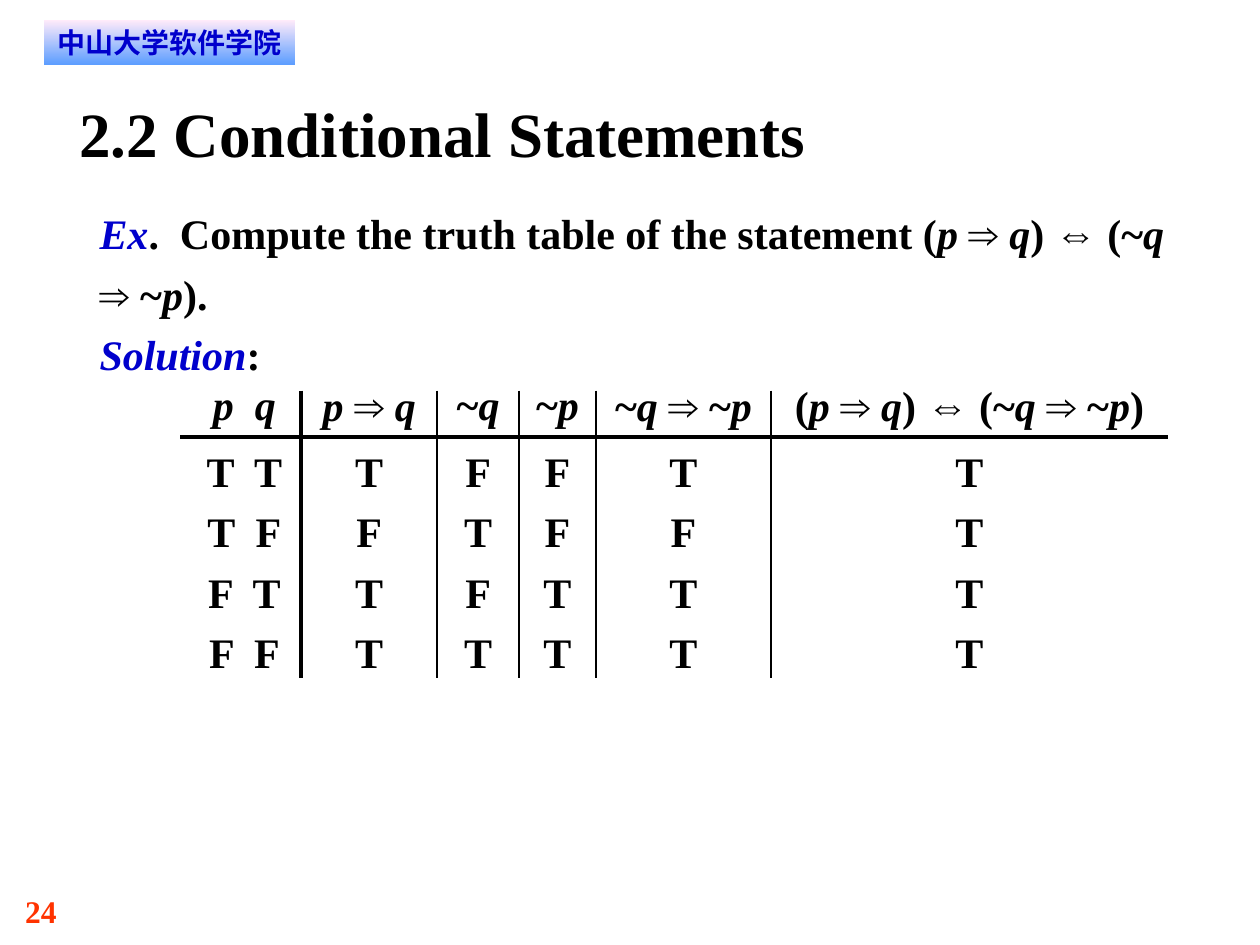
from dataclasses import dataclass
from itertools import accumulate, groupby

from lxml.etree import SubElement
from pptx import Presentation
from pptx.dml.color import RGBColor
from pptx.enum.shapes import MSO_CONNECTOR, MSO_SHAPE
from pptx.enum.text import MSO_ANCHOR, PP_ALIGN
from pptx.oxml.ns import qn
from pptx.util import Inches, Pt


@dataclass(frozen=True)
class Theme:
    """Colours, fonts and type sizes of the slide."""
    ink: str = "000000"
    accent: str = "0000CC"
    number: str = "FF3300"
    banner_top: str = "FFEBFA"
    banner_bottom: str = "5E9EFF"
    serif: str = "Times New Roman"
    symbol: str = "Arial"
    banner_font: str = "DejaVu Sans"
    title_size: int = 36
    body_size: int = 24
    number_size: int = 18
    banner_size: int = 16


THEME = Theme()
STATEMENT = "(p ⇒ q) ⇔ (~q ⇒ ~p)"
HEADINGS = ["p  q", "p ⇒ q", "~q", "~p", "~q ⇒ ~p", STATEMENT]
TRUTH_ROWS = [
    ["T  T", "T", "F", "F", "T", "T"],
    ["T  F", "F", "T", "F", "F", "T"],
    ["F  T", "T", "F", "T", "T", "T"],
    ["F  F", "T", "T", "T", "T", "T"],
]
COLUMN_WIDTHS = [0.96, 1.08, 0.65, 0.61, 1.39, 3.15]
HEADING_HEIGHT, ROW_HEIGHT = 0.48, 0.48
THICK, THIN = 2, 1


def style(paragraph, size, color=THEME.ink, name=THEME.serif):
    """Set the bold font shared by all runs of a paragraph."""
    font = paragraph.font
    font.size, font.bold, font.name = Pt(size), True, name
    font.color.rgb = RGBColor.from_string(color)


def add_formula(paragraph, formula):
    """Add a logic formula with italic variables and arrows in the symbol font."""
    def kind(char):
        return "variable" if char in "pq" else "arrow" if char in "⇒⇔" else "plain"

    for part, chars in groupby(formula, kind):
        run = paragraph.add_run()
        run.text = "".join(chars)
        if part == "variable":
            run.font.italic = True
        elif part == "arrow":
            run.font.name = THEME.symbol


def add_term(paragraph, term):
    """Add an italic lead word in the accent colour."""
    run = paragraph.add_run()
    run.text = term
    run.font.italic = True
    run.font.color.rgb = RGBColor.from_string(THEME.accent)


def add_frame(slide, box):
    """Add a wrapping text box without insets and return its frame."""
    frame = slide.shapes.add_textbox(*map(Inches, box)).text_frame
    frame.word_wrap = True
    frame.margin_left = frame.margin_right = frame.margin_top = frame.margin_bottom = 0
    return frame


def add_label(slide, box, text, size, color=THEME.ink):
    """Place a one-line label."""
    paragraph = add_frame(slide, box).paragraphs[0]
    paragraph.text = text
    style(paragraph, size, color)


def add_banner(slide, box, text):
    """Place the school banner with its vertical gradient."""
    banner = slide.shapes.add_shape(MSO_SHAPE.RECTANGLE, *map(Inches, box))
    banner.shadow.inherit = False
    banner.line.fill.background()
    banner.fill.gradient()
    banner.fill.gradient_angle = 270
    for stop, color in zip(banner.fill.gradient_stops, (THEME.banner_top, THEME.banner_bottom)):
        stop.color.rgb = RGBColor.from_string(color)
    frame = banner.text_frame
    frame.margin_left = frame.margin_right = Inches(0.08)
    frame.margin_top = frame.margin_bottom = Inches(0.04)
    paragraph = frame.paragraphs[0]
    paragraph.text = text
    paragraph.alignment = PP_ALIGN.CENTER
    style(paragraph, THEME.banner_size, THEME.accent, THEME.banner_font)


def add_exercise(slide, box):
    """Place the exercise and the word that opens its solution."""
    frame = add_frame(slide, box)
    question, solution = frame.paragraphs[0], frame.add_paragraph()
    for paragraph in (question, solution):
        paragraph.line_spacing = 1.2
        style(paragraph, THEME.body_size)
    add_term(question, "Ex")
    question.add_run().text = ".  Compute the truth table of the statement "
    add_formula(question, STATEMENT + ".")
    add_term(solution, "Solution")
    solution.add_run().text = ":"


def clear_borders(cell):
    """Remove the lines on all sides of a cell."""
    properties = cell._tc.get_or_add_tcPr()
    for side in ("lnL", "lnR", "lnT", "lnB"):
        SubElement(SubElement(properties, qn(f"a:{side}")), qn("a:noFill"))


def add_rule(slide, start, end, width):
    """Draw a straight rule between two points."""
    rule = slide.shapes.add_connector(MSO_CONNECTOR.STRAIGHT, *map(Inches, (*start, *end)))
    rule.line.width = Pt(width)
    rule.line.color.rgb = RGBColor.from_string(THEME.ink)
    SubElement(rule._element.spPr, qn("a:effectLst"))


def add_truth_table(slide, box):
    """Place the truth table with a rule below its headings and between its columns."""
    left, top, width, _ = box
    rows = [HEADINGS, *TRUTH_ROWS]
    table = slide.shapes.add_table(len(rows), len(HEADINGS), *map(Inches, box)).table
    table.first_row = table.horz_banding = False
    for column, column_width in zip(table.columns, COLUMN_WIDTHS):
        column.width = Inches(column_width)
    for row, texts in enumerate(rows):
        table.rows[row].height = Inches(ROW_HEIGHT if row else HEADING_HEIGHT)
        for column, text in enumerate(texts):
            cell = table.cell(row, column)
            clear_borders(cell)
            cell.fill.background()
            cell.vertical_anchor = MSO_ANCHOR.TOP
            cell.margin_left = Inches(0 if column else 0.06)
            cell.margin_right = cell.margin_bottom = 0
            cell.margin_top = Inches(0.08 if row else 0.03)
            paragraph = cell.text_frame.paragraphs[0]
            paragraph.alignment = PP_ALIGN.CENTER
            style(paragraph, THEME.body_size)
            add_formula(paragraph, text)
    heading_rule = top + 0.46
    add_rule(slide, (left, heading_rule), (left + width, heading_rule), THICK)
    for index, offset in enumerate(accumulate(COLUMN_WIDTHS[:-1])):
        x = left + offset
        add_rule(slide, (x, top + 0.09), (x, top + 2.37), THIN if index else THICK)


def main():
    """Build the slide and save it."""
    presentation = Presentation()
    presentation.slide_width, presentation.slide_height = Inches(10), Inches(7.5)
    slide = presentation.slides.add_slide(presentation.slide_layouts[6])
    add_label(slide, (0.2, 7.08, 0.75, 0.3), "24", THEME.number_size, THEME.number)
    add_banner(slide, (0.35, 0.16, 1.99, 0.35), "中山大学软件学院")
    add_label(slide, (0.63, 0.75, 8.75, 0.6), "2.2 Conditional Statements", THEME.title_size)
    add_exercise(slide, (0.79, 1.57, 8.76, 1.44))
    table_height = HEADING_HEIGHT + ROW_HEIGHT * len(TRUTH_ROWS)
    add_truth_table(slide, (1.43, 3.01, sum(COLUMN_WIDTHS), table_height))
    presentation.save("out.pptx")


if __name__ == "__main__":
    main()
